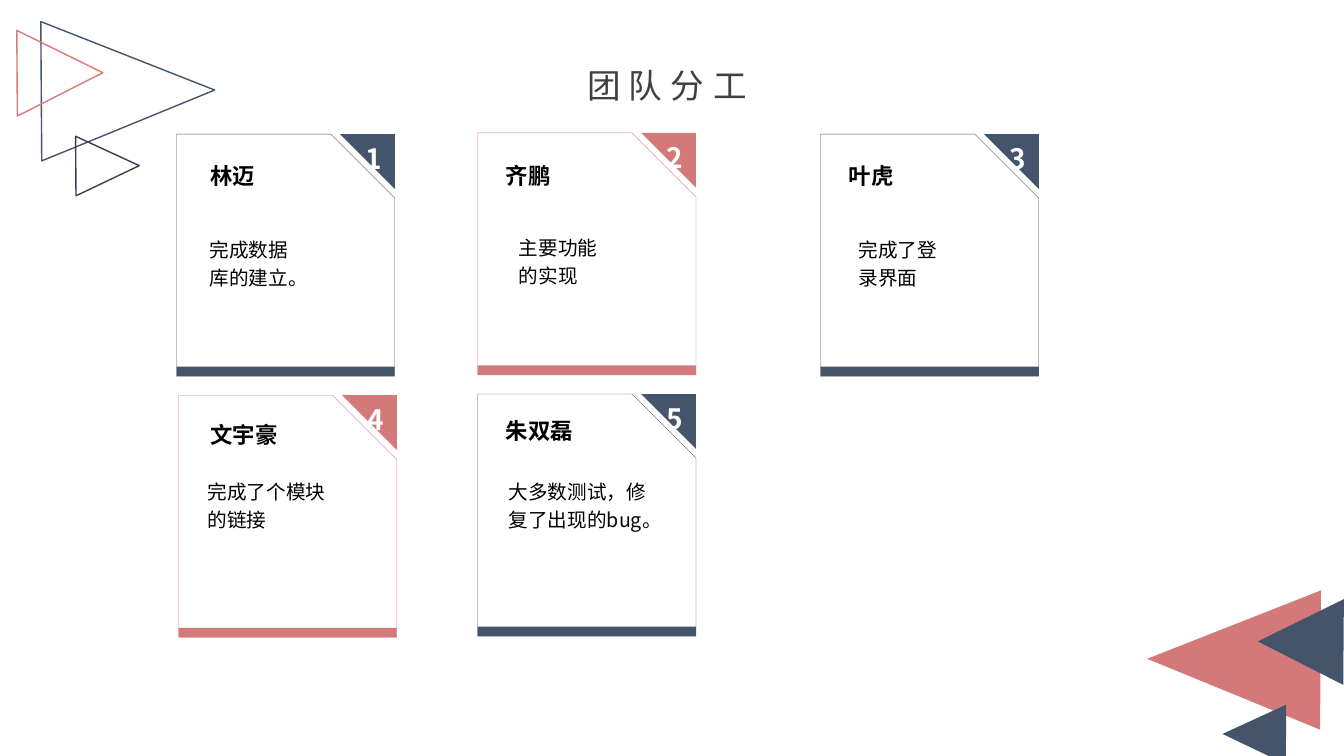
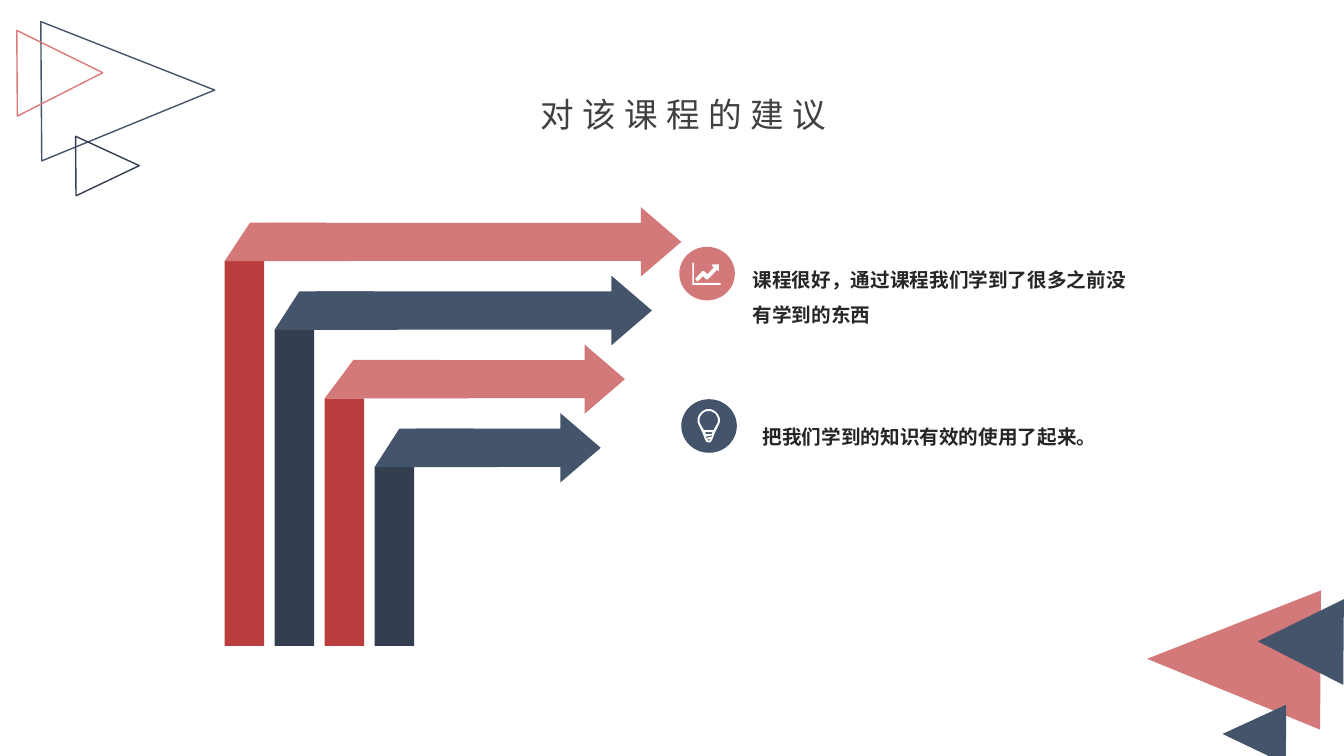
from math import cos, radians, sin
from typing import NamedTuple

from lxml.etree import SubElement
from pptx import Presentation
from pptx.dml.color import RGBColor
from pptx.enum.shapes import MSO_SHAPE as Preset
from pptx.enum.text import MSO_ANCHOR as Anchor, MSO_AUTO_SIZE as AutoSize, PP_ALIGN as Align
from pptx.oxml.ns import qn
from pptx.util import Cm, Pt

WHITE = RGBColor(0xFF, 0xFF, 0xFF)
BLACK = RGBColor(0x00, 0x00, 0x00)
TITLE_GRAY = RGBColor(0x40, 0x40, 0x40)
TEXT_GRAY = RGBColor(0x26, 0x26, 0x26)
NAVY = RGBColor(0x44, 0x54, 0x6A)
DARK_NAVY = RGBColor(0x33, 0x3F, 0x50)
PINK = RGBColor(0xD3, 0x79, 0x79)
LIGHT_PINK = RGBColor(0xDD, 0x79, 0x79)
RED = RGBColor(0xBB, 0x3E, 0x3E)
FONT = "Noto Sans CJK SC"

CARD_WIDTH, CARD_HEIGHT = 5.5, 6.1
CORNER_SIZE = 1.38
BAR_HEIGHT = 0.24
BADGE_WIDTH, BADGE_HEIGHT = 1.4, 1.35
TRIANGLE_SIZES = [(3.51, 4.37), (1.5, 1.6), (2.16, 2.16)]

CHART_ICON = [
    [(33, 40), (37, 40), (37, 91), (104, 91), (104, 96), (33, 96)],
    [(100, 62), (95, 58), (72, 82), (68, 82), (60, 74), (46, 87), (40, 81),
     (58, 61), (62, 61), (71, 69), (87, 52), (82, 47), (84, 44), (100, 44)],
]


class Card(NamedTuple):
    left: float
    top: float
    color: RGBColor
    name: str
    name_offset: tuple
    task: str
    task_offset: tuple
    task_width: float


CARDS = [
    Card(4.45, 3.38, NAVY, "林迈", (0.61, 0.58), "完成数据库的建立。", (0.58, 2.36), 2.87),
    Card(12.04, 3.35, PINK, "齐鹏", (0.46, 0.61), "主要功能的实现", (0.79, 2.34), 2.84),
    Card(20.68, 3.38, NAVY, "叶虎", (0.46, 0.58), "完成了登录界面", (0.71, 2.36), 2.92),
    Card(4.5, 9.96, PINK, "文宇豪", (0.56, 0.53), "完成了个模块的链接", (0.48, 1.88), 3.63),
    Card(12.04, 9.93, NAVY, "朱双磊", (0.46, 0.46), "大多数测试，修复了出现的bug。", (0.53, 1.91), 4.42),
]


def bulb_icon():
    def arc(radius):
        return [(69 + radius * cos(radians(angle)), 53 + radius * sin(radians(angle)))
                for angle in range(150, 391, 10)]

    return [
        arc(28) + [(84, 86), (78, 102), (74, 108), (69, 109), (64, 108), (60, 102), (54, 86)],
        arc(23) + [(81, 78), (57, 78)],
        [(60, 83), (79, 83), (76, 88), (62, 88)],
        [(61, 95), (77, 91), (77, 94), (62, 98)],
        [(64, 101), (75, 101), (69, 105)],
    ]


def paint(shape, fill=None, line=None, line_width=1):
    shape.shadow.inherit = False
    if fill is None:
        shape.fill.background()
    else:
        shape.fill.solid()
        shape.fill.fore_color.rgb = fill
    if line is None:
        shape.line.fill.background()
    else:
        shape.line.color.rgb = line
        shape.line.width = Pt(line_width)
    return shape


def add_preset(slide, preset, left, top, width, height, **colors):
    shape = slide.shapes.add_shape(preset, Cm(left), Cm(top), Cm(width), Cm(height))
    return paint(shape, **colors)


def add_outline(slide, left, top, contours, fill):
    builder = slide.shapes.build_freeform(*contours[0][0], scale=Cm(0.01))
    builder.add_line_segments(contours[0][1:])
    for contour in contours[1:]:
        builder.move_to(*contour[0])
        builder.add_line_segments(contour[1:])
    return paint(builder.convert_to_shape(Cm(left), Cm(top)), fill=fill)


def write(shape, text, size=14, color=BLACK, bold=False, align=Align.LEFT, anchor=Anchor.TOP,
          insets=(0.25, 0.13), line_spacing=None, tracking=None, auto_size=AutoSize.NONE):
    frame = shape.text_frame
    frame.word_wrap = True
    frame.auto_size = auto_size
    frame.vertical_anchor = anchor
    frame.margin_left = frame.margin_right = Cm(insets[0])
    frame.margin_top = frame.margin_bottom = Cm(insets[1])
    paragraph = frame.paragraphs[0]
    paragraph.alignment = align
    if line_spacing:
        paragraph.line_spacing = line_spacing
    run = paragraph.add_run()
    run.text = text
    run.font.size = Pt(size)
    run.font.bold = bold
    run.font.color.rgb = color
    run.font.name = FONT
    properties = run.font._element
    SubElement(properties, qn("a:ea")).set("typeface", FONT)
    if tracking:
        properties.set("spc", str(tracking * 100))


def add_text(slide, left, top, width, height, text, **text_format):
    box = slide.shapes.add_textbox(Cm(left), Cm(top), Cm(width), Cm(height))
    write(box, text, auto_size=AutoSize.SHAPE_TO_FIT_TEXT, **text_format)


def place_title(slide, left, top, width, text):
    title = slide.shapes.title
    title.left, title.top, title.width, title.height = Cm(left), Cm(top), Cm(width), Cm(1.02)
    write(title, text, size=24, color=TITLE_GRAY, align=Align.CENTER, anchor=Anchor.MIDDLE,
          insets=(0, 0), tracking=6)


def decorate_layout(layout, slide):
    clusters = [
        (270.4, "fill", [(29.34, 14.43, PINK), (30.86, 17.7, NAVY), (31.7, 15.09, NAVY)]),
        (89.6, "line", [(1.47, 0.1, NAVY), (1.96, 3.38, DARK_NAVY), (0.43, 0.76, LIGHT_PINK)]),
    ]
    shape_id = 100
    for rotation, part, triangles in clusters:
        for (left, top, color), (width, height) in zip(triangles, TRIANGLE_SIZES):
            triangle = add_preset(slide, Preset.ISOSCELES_TRIANGLE, left, top, width, height,
                                  **{part: color})
            triangle.rotation = rotation
            triangle.element.xpath("./p:nvSpPr/p:cNvPr")[0].set("id", str(shape_id))
            shape_id += 1
            layout.shapes.element.append(triangle.element)


def add_card(slide, number, card):
    left, top, color = card.left, card.top, card.color
    panel = add_preset(slide, Preset.SNIP_1_RECTANGLE, left, top, CARD_WIDTH, CARD_HEIGHT,
                       fill=WHITE, line=color, line_width=0.25)
    panel.adjustments[0] = 0.294
    add_preset(slide, Preset.RECTANGLE, left, top + CARD_HEIGHT - BAR_HEIGHT,
               CARD_WIDTH, BAR_HEIGHT, fill=color)
    side = round(CORNER_SIZE * 100)
    corner = add_outline(slide, left + CARD_WIDTH - CORNER_SIZE, top,
                         [[(side, 0), (0, 0), (side, side), (side, 0)]], color)
    write(corner, str(number), size=20, color=WHITE, bold=True, align=Align.RIGHT,
          insets=(0.33, 0.18))
    name_x, name_y = card.name_offset
    add_text(slide, left + name_x, top + name_y, 3.18, 0.94, card.name, size=16, bold=True)
    task_x, task_y = card.task_offset
    add_text(slide, left + task_x, top + task_y, card.task_width, 1.63, card.task,
             line_spacing=1.2)


def add_bent_arrow(slide, left, top, tip, bottom, fold_width, post_color, arrow_color):
    add_preset(slide, Preset.RECTANGLE, left, top, 1, bottom - top, fill=post_color)
    arrow_left = left + 1.05
    arrow = add_preset(slide, Preset.RIGHT_ARROW, arrow_left, top - 1.36, tip - arrow_left, 1.75,
                       fill=arrow_color)
    arrow.adjustments[0] = 0.549
    arrow.adjustments[1] = 0.582
    fold = add_preset(slide, Preset.FLOWCHART_MANUAL_OPERATION, left, top - 0.97, fold_width, 0.97,
                      fill=arrow_color)
    fold.rotation = 180


def add_arrow_stack(slide, left, top, bottom):
    ribbons = [(17.17, 3.2), (16.43, 3.12), (15.75, 3.63), (15.14, 3.12)]
    colors = [(RED, PINK), (DARK_NAVY, NAVY)]
    for index, (tip, fold_width) in enumerate(ribbons):
        add_bent_arrow(slide, left + 1.26 * index, top + 1.73 * index, tip, bottom, fold_width,
                       *colors[index % 2])


def add_suggestion(slide, left, top, color, icon, text, text_offset, text_width):
    add_preset(slide, Preset.OVAL, left, top, BADGE_WIDTH, BADGE_HEIGHT, fill=color)
    add_outline(slide, left, top, icon, WHITE)
    offset_x, offset_y = text_offset
    add_text(slide, left + offset_x, top + offset_y, text_width, 0.8, text, color=TEXT_GRAY,
             bold=True, insets=(0.25, 0), line_spacing=1.5)


def build_team_slide(slide):
    place_title(slide, 11.61, 1.63, 10.39, "团队分工")
    for number, card in enumerate(CARDS, 1):
        add_card(slide, number, card)


def build_suggestions_slide(slide):
    place_title(slide, 9.8, 2.36, 14.86, "对该课程的建议")
    add_arrow_stack(slide, 5.66, 6.58, 16.28)
    add_suggestion(slide, 17.12, 6.22, PINK, CHART_ICON,
                   "课程很好，通过课程我们学到了很多之前没有学到的东西", (1.6, 0.23), 10.08)
    add_suggestion(slide, 17.17, 10.06, NAVY, bulb_icon(),
                   "把我们学到的知识有效的使用了起来。", (1.8, 0.35), 9.25)


def main():
    presentation = Presentation()
    presentation.slide_width = Cm(33.87)
    presentation.slide_height = Cm(19.05)
    layout = presentation.slide_layouts[5]
    team_slide = presentation.slides.add_slide(layout)
    decorate_layout(layout, team_slide)
    build_team_slide(team_slide)
    build_suggestions_slide(presentation.slides.add_slide(layout))
    presentation.save("out.pptx")


if __name__ == "__main__":
    main()
